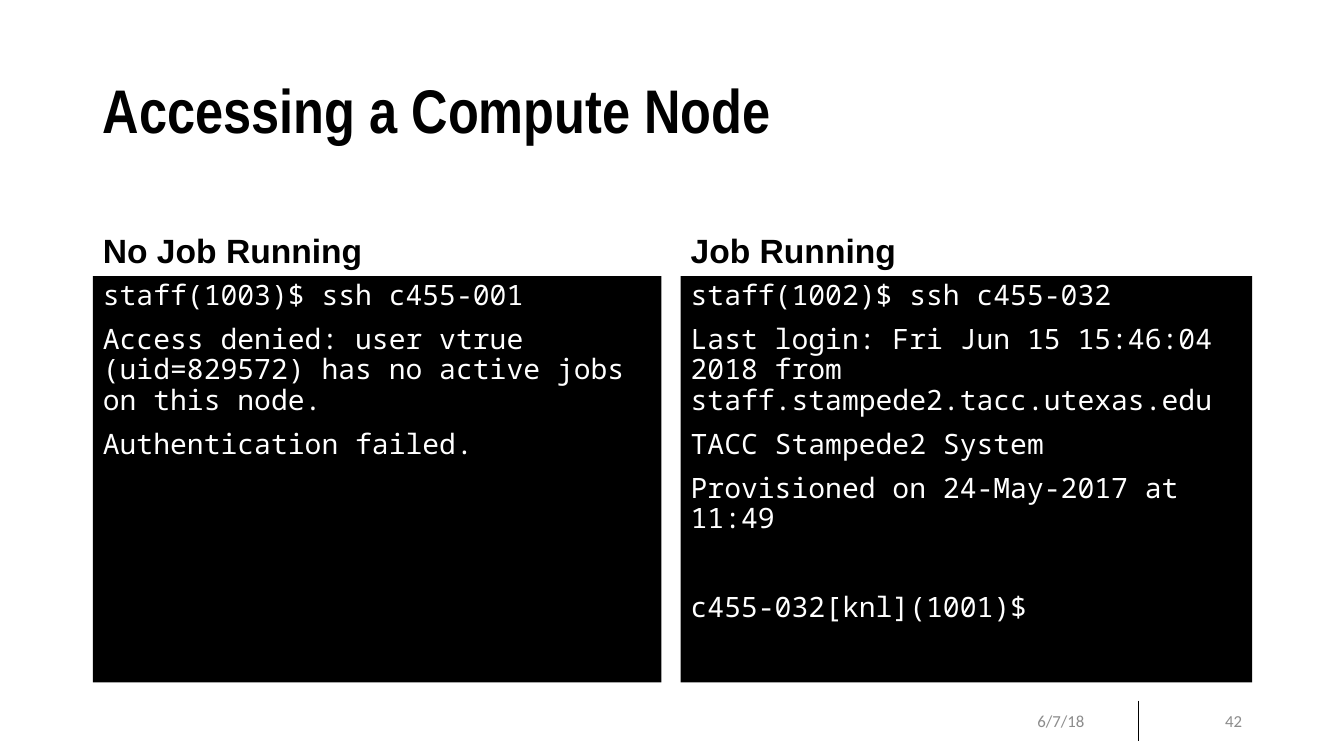
from lxml import etree
from pptx import Presentation
from pptx.dml.color import RGBColor
from pptx.enum import shapes, text
from pptx.oxml import ns
from pptx.util import Inches, Pt

COLORS = {"ink": "000000", "paper": "FFFFFF", "muted": "8C8C8C"}
LEFT, RIGHT = (0.92, 5.64), (6.75, 5.67)  # column left edge and width
FOOT, TALL = 6.95, 0.4  # footer top and height


class Deck:
    """Style and current slide."""

    def __init__(self):
        self.prs = Presentation()
        self.prs.slide_width = Inches(13.33)
        self.prs.slide_height = Inches(7.5)
        self.slide = self.prs.slides.add_slide(self.prs.slide_layouts[4])
        self.holders = {h.placeholder_format.idx: h
                        for h in self.slide.placeholders}

    def color(self, name):
        return RGBColor.from_string(COLORS[name])

    def place(self, shape, box):
        shape.left, shape.top, shape.width, shape.height = map(Inches, box)

    def label(self, shape, lines, font, size, color="ink", bold=False,
              anchor="MIDDLE", align="LEFT", pitch=0.9):
        """Fill a shape with (text, space before) pairs."""
        frame = shape.text_frame
        frame.word_wrap = True
        frame.auto_size = text.MSO_AUTO_SIZE.NONE
        frame.vertical_anchor = text.MSO_ANCHOR[anchor]
        for i, (words, gap) in enumerate(lines):
            para = frame.add_paragraph() if i else frame.paragraphs[0]
            props = para._p.get_or_add_pPr()
            props.set("marL", "0")
            props.set("indent", "0")
            etree.SubElement(props, ns.qn("a:buNone"))
            para.alignment = text.PP_ALIGN[align]
            para.line_spacing = pitch
            para.space_before = Pt(gap)
            run = para.add_run()
            run.text = words
            run.font.name, run.font.size, run.font.bold = font, Pt(size), bold
            run.font.color.rgb = self.color(color)

    def title(self, words):
        shape = self.holders[0]
        self.place(shape, (0.92, 0.4, 11.5, 1.45))
        self.label(shape, [(words, 0)], "Arial Narrow", 44, bold=True)

    def head(self, idx, col, words):
        shape = self.holders[idx]
        self.place(shape, (col[0], 1.84, col[1], 0.9))
        self.label(shape, [(words, 0)], "Arial", 24, bold=True,
                   anchor="BOTTOM")

    def console(self, idx, col, lines):
        shape = self.holders[idx]
        self.place(shape, (col[0], 2.74, col[1], 4.03))
        shape.fill.solid()
        shape.fill.fore_color.rgb = self.color("ink")
        self.label(shape, lines, "Noto Sans Mono", 20, "paper", anchor="TOP")

    def note(self, left, words, align):
        box = (left, FOOT, 0.86, TALL)
        shape = self.slide.shapes.add_textbox(*map(Inches, box))
        self.label(shape, [(words, 0)], "Calibri", 12, "muted", align=align,
                   pitch=1.0)

    def rule(self, left):
        ends = map(Inches, (left, FOOT, left, FOOT + TALL))
        line = self.slide.shapes.add_connector(
            shapes.MSO_CONNECTOR.STRAIGHT, *ends)
        line.line.color.rgb = self.color("ink")
        line.line.width = Pt(0.5)
        etree.SubElement(line._element.spPr, ns.qn("a:effectLst"))


def main():
    deck = Deck()
    deck.title("Accessing a Compute Node")

    # Login refused
    deck.head(1, LEFT, "No Job Running")
    deck.console(2, LEFT, [
        ("staff(1003)$ ssh c455-001", 0),
        ("Access denied: user vtrue (uid=829572) has no active jobs "
         "on this node.", 10),
        ("Authentication failed.", 10),
    ])

    # Login accepted
    deck.head(3, RIGHT, "Job Running")
    deck.console(4, RIGHT, [
        ("staff(1002)$ ssh c455-032", 0),
        ("Last login: Fri Jun 15 15:46:04 2018 from "
         "staff.stampede2.tacc.utexas.edu", 10),
        ("TACC Stampede2 System", 10),
        ("Provisioned on 24-May-2017 at 11:49", 10),
        ("c455-032[knl](1001)$", 42),
    ])

    # Footer
    deck.note(10.19, "6/7/18", "LEFT")
    deck.rule(11.29)
    deck.note(11.56, "42", "RIGHT")
    deck.prs.save("out.pptx")


if __name__ == "__main__":
    main()
